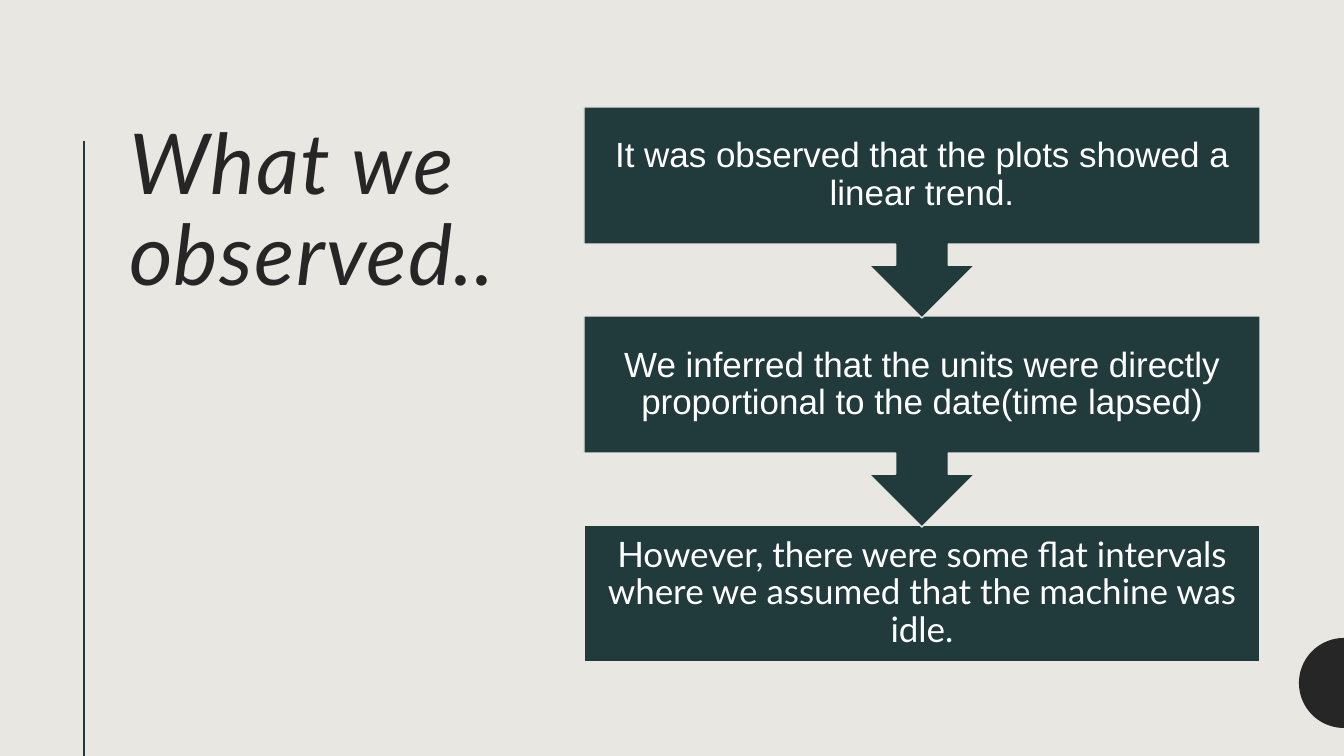
from math import cos, pi, sin

from lxml.etree import SubElement
from pptx import Presentation
from pptx.dml.color import RGBColor
from pptx.enum.shapes import MSO_CONNECTOR, MSO_SHAPE
from pptx.enum.text import MSO_ANCHOR, MSO_AUTO_SIZE, PP_ALIGN
from pptx.oxml.ns import qn
from pptx.util import Pt

TITLE = "What we observed.."
STEPS = [
    ("It was observed that the plots showed a linear trend.", "Arial"),
    ("We inferred that the units were directly proportional to the date(time lapsed)", "Arial"),
    ("However, there were some flat intervals where we assumed that the machine was idle.", "Lato"),
]
COLORS = {"background": "E8E7E2", "dark": "262626", "teal": "213A3B", "white": "FFFFFF"}

SLIDE_WIDTH, SLIDE_HEIGHT = 1344, 756
TITLE_BOX = (119, 117, 394, 530)
RULE_X, RULE_TOP = 84, 141
STEP_LEFT, STEP_TOP, STEP_WIDTH, STEP_PITCH = 584, 107, 676, 209
CALLOUT_HEIGHT, BOX_HEIGHT, STEP_INSET = 211, 137, 19
CIRCLE_Y, CIRCLE_RADIUS, CIRCLE_STEPS = 683, 45, 48


def px(value):
    return round(value * 914400 / 100.8)


def color(name):
    return RGBColor.from_string(COLORS[name])


def format_text(paragraph, font_name, size, color_name):
    paragraph.line_spacing = 0.9
    for run in paragraph.runs:
        run.font.name = font_name
        run.font.size = Pt(size)
        run.font.color.rgb = color(color_name)


def add_title(slide):
    title = slide.shapes.title
    title.left, title.top, title.width, title.height = map(px, TITLE_BOX)
    frame = title.text_frame
    frame.text = TITLE
    frame.word_wrap = True
    frame.auto_size = MSO_AUTO_SIZE.NONE
    frame.vertical_anchor = MSO_ANCHOR.TOP
    paragraph = frame.paragraphs[0]
    paragraph.alignment = PP_ALIGN.LEFT
    format_text(paragraph, "Lato", 60, "dark")
    font = paragraph.runs[0].font
    font.italic = True
    paragraph.runs[0]._r.get_or_add_rPr().set("spc", "100")


def add_rule(slide):
    rule = slide.shapes.add_connector(
        MSO_CONNECTOR.STRAIGHT, px(RULE_X), px(RULE_TOP), px(RULE_X), px(SLIDE_HEIGHT)
    )
    rule.line.color.rgb = color("teal")
    rule.line.width = Pt(1.5)
    SubElement(rule._element.spPr, qn("a:effectLst"))


def add_half_circle(slide):
    angles = [pi * step / CIRCLE_STEPS for step in range(CIRCLE_STEPS + 1)]
    points = [
        (px(SLIDE_WIDTH - CIRCLE_RADIUS * sin(angle)), px(CIRCLE_Y - CIRCLE_RADIUS * cos(angle)))
        for angle in angles
    ]
    builder = slide.shapes.build_freeform(*points[0])
    builder.add_line_segments(points[1:], close=True)
    half_circle = builder.convert_to_shape()
    half_circle.shadow.inherit = False
    half_circle.fill.solid()
    half_circle.fill.fore_color.rgb = color("dark")
    half_circle.line.fill.background()


def add_step(slide, index, text, font_name):
    is_last = index == len(STEPS) - 1
    kind = MSO_SHAPE.RECTANGLE if is_last else MSO_SHAPE.DOWN_ARROW_CALLOUT
    height = BOX_HEIGHT if is_last else CALLOUT_HEIGHT
    top = STEP_TOP + index * STEP_PITCH
    shape = slide.shapes.add_shape(kind, px(STEP_LEFT), px(top), px(STEP_WIDTH), px(height))
    shape.shadow.inherit = False
    shape.fill.solid()
    shape.fill.fore_color.rgb = color("teal")
    shape.line.color.rgb = color("background")
    shape.line.width = Pt(1)
    frame = shape.text_frame
    frame.text = text
    frame.word_wrap = True
    frame.vertical_anchor = MSO_ANCHOR.MIDDLE
    frame.margin_left = frame.margin_right = px(STEP_INSET)
    frame.margin_top = frame.margin_bottom = px(STEP_INSET)
    frame.paragraphs[0].alignment = PP_ALIGN.CENTER
    format_text(frame.paragraphs[0], font_name, 25, "white")


def main():
    presentation = Presentation()
    presentation.slide_width = px(SLIDE_WIDTH)
    presentation.slide_height = px(SLIDE_HEIGHT)
    slide = presentation.slides.add_slide(presentation.slide_layouts[5])
    slide.background.fill.solid()
    slide.background.fill.fore_color.rgb = color("background")
    add_title(slide)
    add_rule(slide)
    add_half_circle(slide)
    for index, (text, font_name) in reversed(list(enumerate(STEPS))):
        add_step(slide, index, text, font_name)
    presentation.save("out.pptx")


if __name__ == "__main__":
    main()
